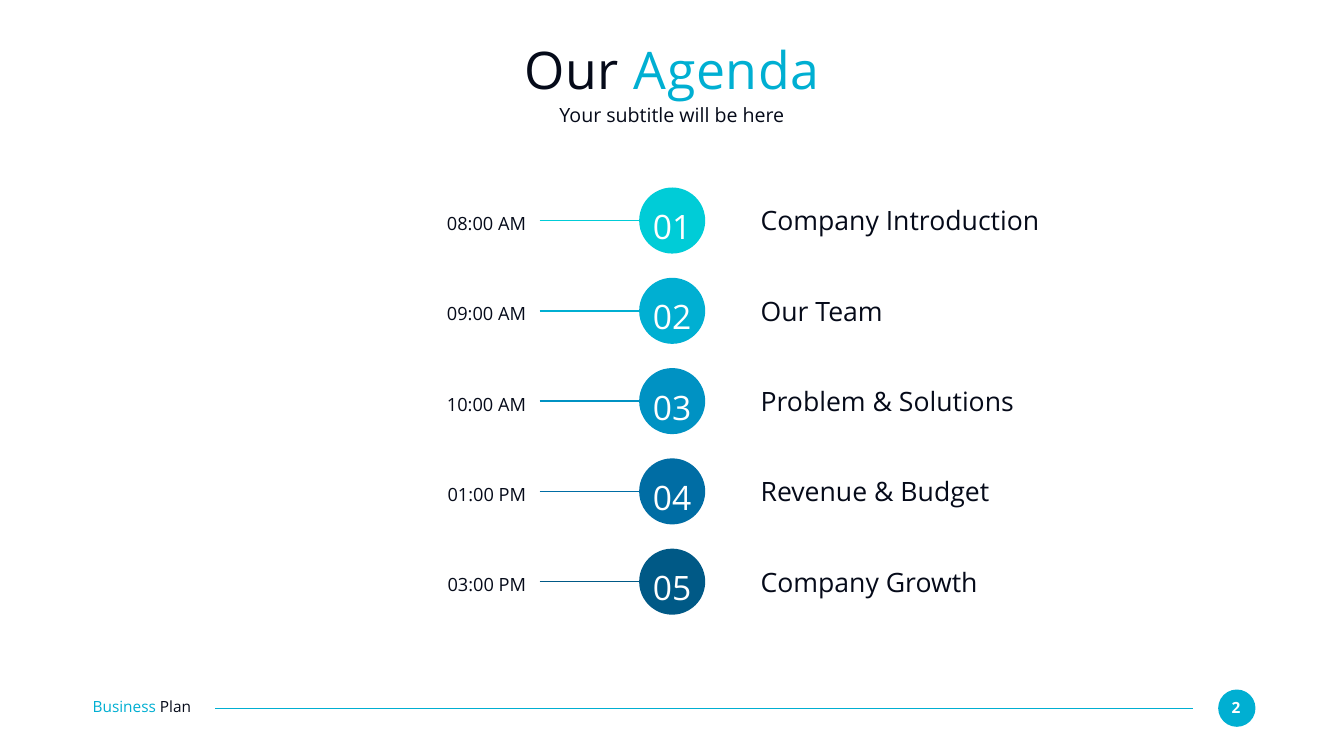
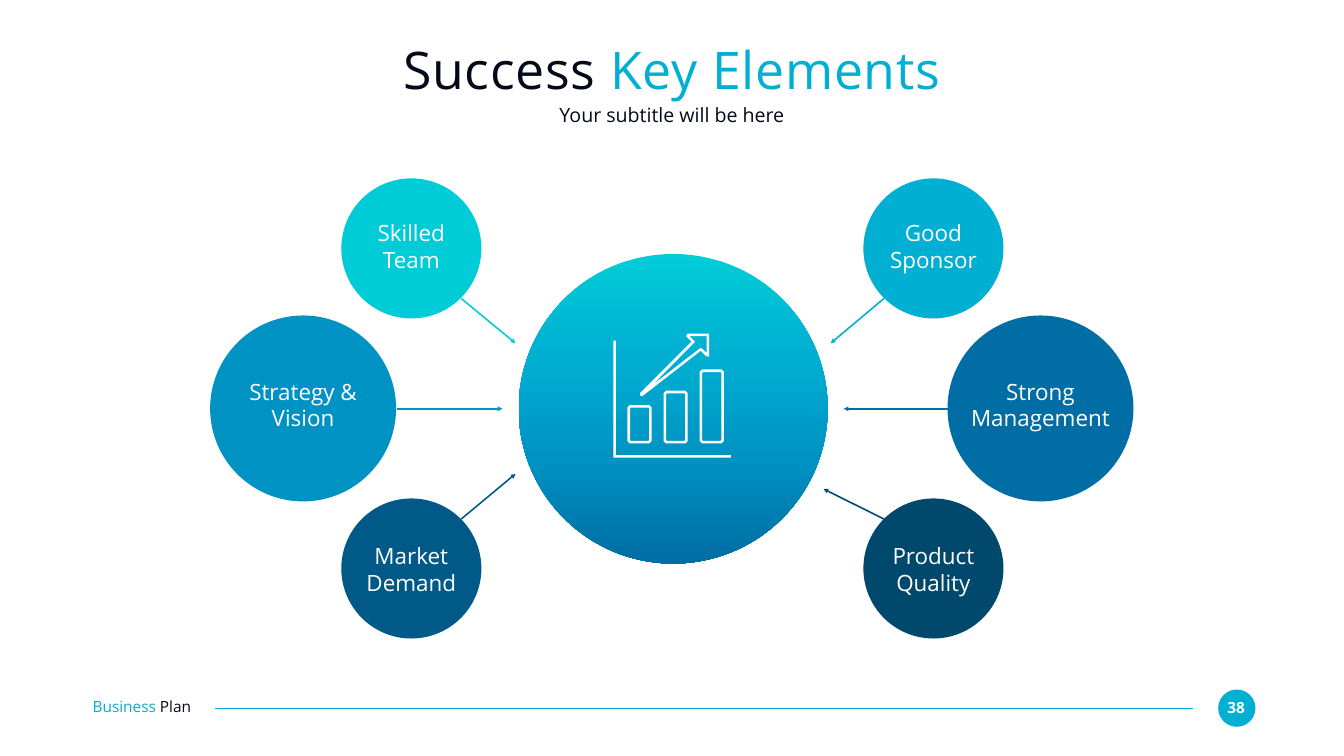
from lxml.etree import SubElement
from pptx import Presentation
from pptx.dml.color import RGBColor
from pptx.enum.shapes import MSO_CONNECTOR, MSO_SHAPE
from pptx.enum.text import MSO_ANCHOR, MSO_AUTO_SIZE, PP_ALIGN
from pptx.oxml.ns import qn
from pptx.util import Cm, Pt

FONT = "Open Sans"
INK, WHITE = "050A19", "FFFFFF"
AQUA, CYAN, AZURE, BLUE, NAVY, DEEP = (
    "00CCD7", "00AFD2", "0092C3", "006DA4", "005986", "00486C")
TITLE_ONLY = 5


def rgb(value):
    return RGBColor.from_string(value)


class Deck:
    def __init__(self):
        self.presentation = Presentation()
        self.presentation.slide_width = Cm(67.73)
        self.presentation.slide_height = Cm(38.1)
        self.slide = None

    def page(self, number, title_start, title_accent):
        layout = self.presentation.slide_layouts[TITLE_ONLY]
        self.slide = self.presentation.slides.add_slide(layout)
        self.footer(number)
        title = self.slide.shapes.title
        title.left, title.top = Cm(4.65), Cm(1.85)
        title.width, title.height = Cm(58.42), Cm(3.23)
        self.fill_text(title, [[(title_start, INK), (title_accent, CYAN)]],
                       74, PP_ALIGN.CENTER)
        for run in title.text_frame.paragraphs[0].runs:
            run._r.get_or_add_rPr().set("spc", "100")
        self.text(4.65, 5.16, 58.42, 1.24,
                  [[("Your subtitle will be here", INK)]], 28, PP_ALIGN.CENTER)

    def footer(self, number):
        self.circle(61.39, 34.75, 1.88, CYAN)
        self.text(61.54, 35.18, 1.5, 0.94, [[(str(number), WHITE)]], 22,
                  PP_ALIGN.CENTER, bold=True)
        self.line((60.12, 35.69), (10.85, 35.69), CYAN, 1.5)
        self.text(4.67, 35.15, 6.58, 0.94,
                  [[("Business ", CYAN), ("Plan", INK)]], 22)

    def fill_text(self, holder, paragraphs, size, align, spacing=None,
                  bold=False):
        frame = holder.text_frame
        frame.word_wrap = True
        frame.auto_size = MSO_AUTO_SIZE.NONE
        frame.vertical_anchor = MSO_ANCHOR.MIDDLE
        frame.margin_left = frame.margin_right = 0
        frame.margin_top = frame.margin_bottom = 0
        for index, pieces in enumerate(paragraphs):
            paragraph = frame.add_paragraph() if index else frame.paragraphs[0]
            paragraph.alignment = align
            if spacing:
                paragraph.line_spacing = spacing
            for content, color in pieces:
                run = paragraph.add_run()
                run.text = content
                run.font.name = FONT
                run.font.size = Pt(size)
                run.font.bold = bold
                run.font.color.rgb = rgb(color)

    def text(self, left, top, width, height, paragraphs, size,
             align=PP_ALIGN.LEFT, spacing=None, bold=False):
        box = self.slide.shapes.add_textbox(
            Cm(left), Cm(top), Cm(width), Cm(height))
        self.fill_text(box, paragraphs, size, align, spacing, bold)

    def paint(self, shape, color):
        shape.shadow.inherit = False
        shape.line.fill.background()
        shape.fill.solid()
        shape.fill.fore_color.rgb = rgb(color)

    def circle(self, left, top, width, color, height=None):
        disc = self.slide.shapes.add_shape(
            MSO_SHAPE.OVAL, Cm(left), Cm(top), Cm(width), Cm(height or width))
        self.paint(disc, color)
        return disc

    def gradient_circle(self, left, top, width, height, stops):
        disc = self.circle(left, top, width, stops[0][1], height)
        disc.fill.gradient()
        disc.fill.gradient_angle = 270
        stop_list = next(disc._element.iter(qn("a:gsLst")))
        for stop in list(stop_list):
            stop_list.remove(stop)
        for percent, color in stops:
            stop = SubElement(stop_list, qn("a:gs"), pos=str(percent * 1000))
            SubElement(stop, qn("a:srgbClr"), val=color)

    def line(self, start, end, color, width=2.25, arrow=False):
        link = self.slide.shapes.add_connector(
            MSO_CONNECTOR.STRAIGHT, *map(Cm, start + end))
        link.line.width = Pt(width)
        link.line.color.rgb = rgb(color)
        properties = link._element.spPr
        if arrow:
            SubElement(properties.find(qn("a:ln")), qn("a:tailEnd"),
                       type="triangle")
        SubElement(properties, qn("a:effectLst"))

    def outline(self, contours, color):
        first, *others = [[(Cm(x), Cm(y)) for x, y in points]
                          for points in contours]
        builder = self.slide.shapes.build_freeform(*first[0])
        builder.add_line_segments(first[1:], close=True)
        for points in others:
            builder.move_to(*points[0])
            builder.add_line_segments(points[1:], close=True)
        self.paint(builder.convert_to_shape(), color)


def soft_rectangle(left, top, right, bottom, corner):
    return [
        (left + corner, top), (right - corner, top),
        (right, top + corner), (right, bottom - corner),
        (right - corner, bottom), (left + corner, bottom),
        (left, bottom - corner), (left, top + corner)]


def growth_icon():
    stroke, bar_width, bar_bottom = 0.13, 1.22, 22.35
    axes = [(30.91, 17.17), (31.04, 17.17), (31.04, 22.94),
            (36.83, 22.94), (36.83, 23.06), (30.91, 23.06)]
    arrow_edge = [(32.26, 19.81), (34.85, 17.22), (34.57, 16.94),
                  (34.65, 16.81), (35.74, 16.81), (35.74, 17.98),
                  (35.59, 17.96), (35.31, 17.68), (32.38, 19.96),
                  (32.26, 19.94)]
    arrow_hole = [(32.87, 19.41), (35.28, 17.55), (35.36, 17.55),
                  (35.61, 17.78), (35.61, 16.94), (34.75, 16.94),
                  (35.03, 17.22)]
    contours = [axes, arrow_edge, arrow_hole]
    for index, top in enumerate((20.42, 19.69, 18.62)):
        left = 31.62 + index * 1.82
        right = left + bar_width
        contours.append(soft_rectangle(left, top, right, bar_bottom, 0.12))
        contours.append(soft_rectangle(
            left + stroke, top + stroke, right - stroke, bar_bottom - stroke,
            0.04))
    return contours


def agenda(deck):
    deck.page(2, "Our ", "Agenda")
    sessions = [
        ("08:00 AM", "Company Introduction", AQUA),
        ("09:00 AM", "Our Team", CYAN),
        ("10:00 AM", "Problem & Solutions", AZURE),
        ("01:00 PM", "Revenue & Budget", BLUE),
        ("03:00 PM", "Company Growth", NAVY)]
    for index, (time, topic, color) in enumerate(sessions):
        top = 9.45 + index * 4.55
        middle = top + 1.66
        deck.circle(32.21, top, 3.33, color)
        deck.line((27.2, middle), (32.21, middle), color)
        deck.text(32.56, top + 0.51, 2.62, 2.46,
                  [[(f"{index + 1:02}", WHITE)]], 48, PP_ALIGN.CENTER, 1.2)
        deck.text(17.53, top + 1.04, 8.99, 1.3, [[(time, INK)]], 26,
                  PP_ALIGN.RIGHT, 1.2)
        deck.text(38.33, top + 0.84, 15.98, 1.63, [[(topic, INK)]], 38)


def key_elements(deck):
    deck.page(38, "Success ", "Key Elements")
    small, large = 7.06, 9.37
    elements = [
        (["Skilled Team"], 17.2, 8.99, small, 11.02, 5.66, AQUA,
         (23.24, 15.04), (25.98, 17.3)),
        (["Strategy & Vision"], 10.59, 15.9, large, 19.02, 5.66, AZURE,
         (19.99, 20.6), (25.32, 20.6)),
        (["Market Demand"], 17.2, 25.12, small, 27.31, 5.66, NAVY,
         (23.24, 26.16), (25.98, 23.88)),
        (["Good Sponsor"], 43.51, 8.99, small, 11.02, 5.66, CYAN,
         (44.55, 15.04), (41.86, 17.3)),
        (["Strong", "Management"], 47.75, 15.9, large, 19.02, 7.39, BLUE,
         (47.75, 20.6), (42.52, 20.6)),
        (["Product Quality"], 43.51, 25.12, small, 27.31, 5.66, DEEP,
         (44.55, 26.16), (41.5, 24.64))]
    for (words, left, top, size, words_top, words_width, color,
         start, end) in elements:
        deck.circle(left, top, size, color)
        deck.line(start, end, color, arrow=True)
        deck.text(left + (size - words_width) / 2, words_top, words_width,
                  2.74, [[(word, WHITE)] for word in words], 32,
                  PP_ALIGN.CENTER)
    deck.gradient_circle(26.14, 12.8, 15.57, 15.6,
                         [(0, AQUA), (33, CYAN), (66, AZURE), (100, BLUE)])
    deck.outline(growth_icon(), WHITE)


def main():
    deck = Deck()
    agenda(deck)
    key_elements(deck)
    deck.presentation.save("out.pptx")


if __name__ == "__main__":
    main()
